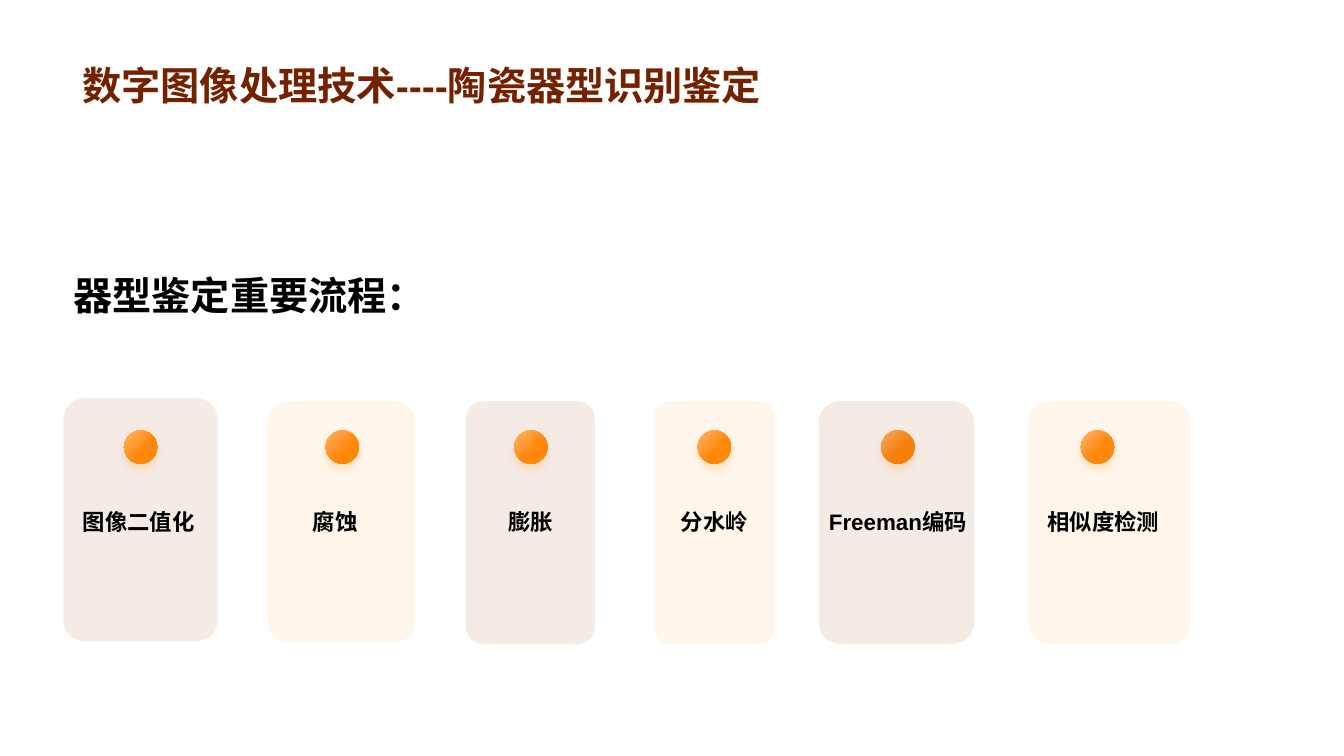
from dataclasses import dataclass

from lxml.etree import SubElement
from pptx import Presentation
from pptx.dml.color import RGBColor as RGB
from pptx.enum.shapes import MSO_SHAPE as SHAPE
from pptx.enum.text import MSO_ANCHOR as ANCHOR, PP_ALIGN as ALIGN
from pptx.oxml.ns import qn
from pptx.util import Emu, Pt

PX = 9144


@dataclass(frozen=True)
class Theme:
    """Colours, type sizes and font of the slide."""
    font: str = "Arial"
    title: str = "742100"
    ink: str = "000000"
    brown: str = "A03F00"
    amber: str = "FFAA3B"
    dot_light: str = "FFB76C"
    dot_dark: str = "FF870A"
    heading_pt: int = 28
    label_pt: int = 16
    tint: int = 10
    corner: float = 0.136


class Deck:
    """Holds the theme and the current slide, and draws elements in px."""

    def __init__(self, theme, width, height):
        """Open a presentation with one blank slide."""
        self.theme = theme
        self.prs = Presentation()
        self.prs.slide_width, self.prs.slide_height = self.emu(width, height)
        self.slide = self.prs.slides.add_slide(self.prs.slide_layouts[6])

    def emu(self, *lengths):
        """Turn px into EMU."""
        return [Emu(n * PX) for n in lengths]

    def text(self, box, text, size, color, align=ALIGN.LEFT,
             anchor=ANCHOR.BOTTOM, spacing=None):
        """Add a bold single-line text box."""
        tf = self.slide.shapes.add_textbox(*self.emu(*box)).text_frame
        tf.word_wrap = True
        tf.vertical_anchor = anchor
        tf.text = text
        p = tf.paragraphs[0]
        p.alignment = align
        p.line_spacing = spacing
        font = p.runs[0].font
        font.name, font.size, font.bold = self.theme.font, Pt(size), True
        font.color.rgb = RGB.from_string(color)

    def shape(self, kind, box):
        """Add a preset shape without line or shadow."""
        sp = self.slide.shapes.add_shape(kind, *self.emu(*box))
        sp.shadow.inherit = False
        sp.line.fill.background()
        return sp

    def card(self, box, color):
        """Add a rounded card in a transparent tint."""
        sp = self.shape(SHAPE.ROUNDED_RECTANGLE, box)
        sp.adjustments[0] = self.theme.corner
        sp.fill.solid()
        sp.fill.fore_color.rgb = RGB.from_string(color)
        clr = sp.element.spPr.find(qn("a:solidFill"))[0]
        SubElement(clr, qn("a:alpha"), val=str(self.theme.tint * 1000))

    def dot(self, left, top, size):
        """Add a gradient dot with a soft glow below it."""
        theme = self.theme
        sp = self.shape(SHAPE.OVAL, (left, top, size, size))
        sp.fill.gradient()
        sp.fill.gradient_angle = 315
        stops = ((0, theme.dot_light), (0.6, theme.dot_dark))
        for stop, (position, color) in zip(sp.fill.gradient_stops, stops):
            stop.position = position
            stop.color.rgb = RGB.from_string(color)
        effects = sp.element.spPr.find(qn("a:effectLst"))
        glow = SubElement(effects, qn("a:outerShdw"), blurRad=str(Pt(6)),
                          dist=str(Pt(4)), dir="5400000", algn="t",
                          rotWithShape="0")
        clr = SubElement(glow, qn("a:srgbClr"), val=theme.dot_dark)
        SubElement(clr, qn("a:alpha"), val="20000")

    def save(self):
        """Write the file."""
        self.prs.save("out.pptx")


def main():
    """Build the process slide."""
    theme = Theme()
    deck = Deck(theme, 1333, 750)
    deck.text((72, 0, 1188, 112), "数字图像处理技术----陶瓷器型识别鉴定",
              theme.heading_pt, theme.title)
    deck.text((63, 255, 495, 66), "器型鉴定重要流程：", theme.heading_pt,
              theme.ink, anchor=ANCHOR.TOP, spacing=1.2)

    steps = [
        ("图像二值化", (63, 395, 153, 241), 123, 8),
        ("腐蚀", (266, 398, 146, 239), 323, 203),
        ("膨胀", (462, 398, 128, 241), 510, 397),
        ("分水岭", (649, 398, 120, 241), 692, 579),
        ("Freeman编码", (812, 398, 154, 241), 874, 761),
        ("相似度检测", (1020, 398, 161, 241), 1072, 965),
    ]
    for i, (label, card, dot_left, label_left) in enumerate(steps):
        color = theme.amber if i % 2 else theme.brown
        dot_covered = label.startswith("Freeman")
        if dot_covered:
            deck.dot(dot_left, 427, 33)
        deck.card(card, color)
        if not dot_covered:
            deck.dot(dot_left, 427, 33)
        deck.text((label_left, 496, 259, 40), label, theme.label_pt,
                  theme.ink, align=ALIGN.CENTER)
    deck.save()


if __name__ == "__main__":
    main()
